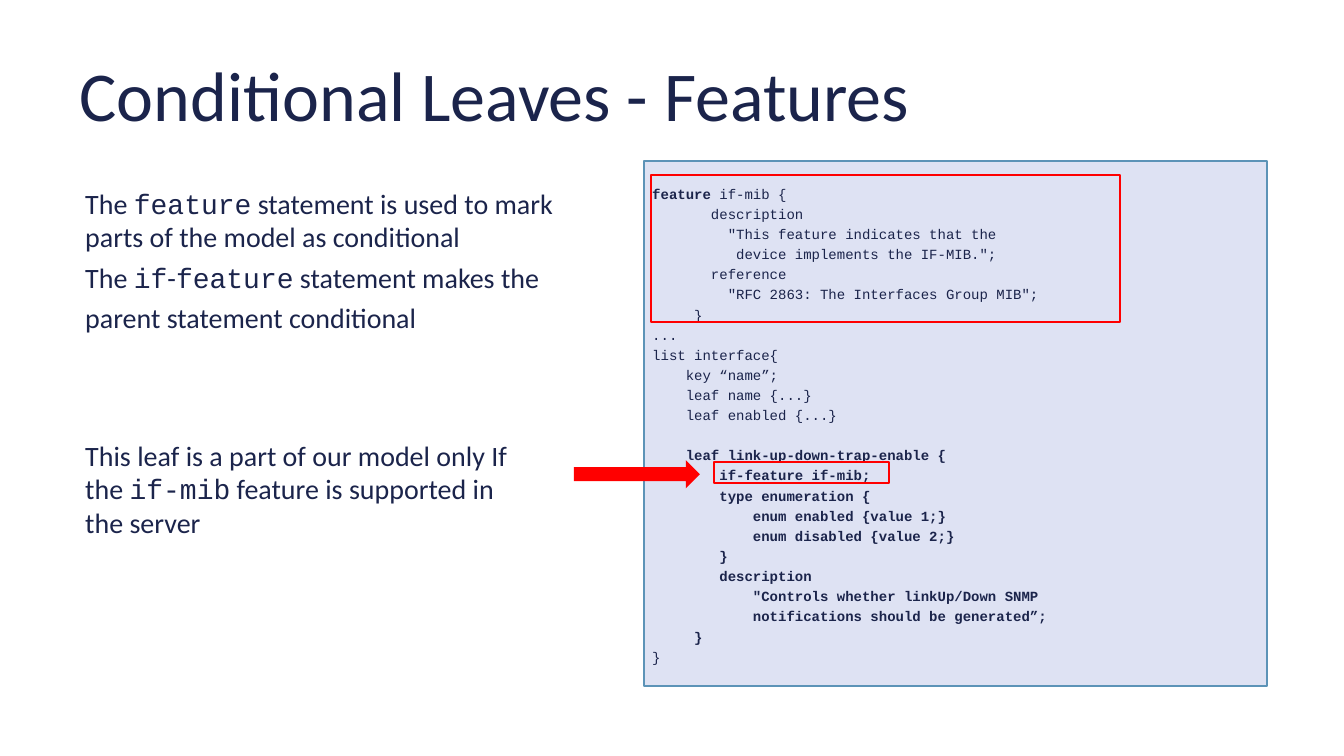
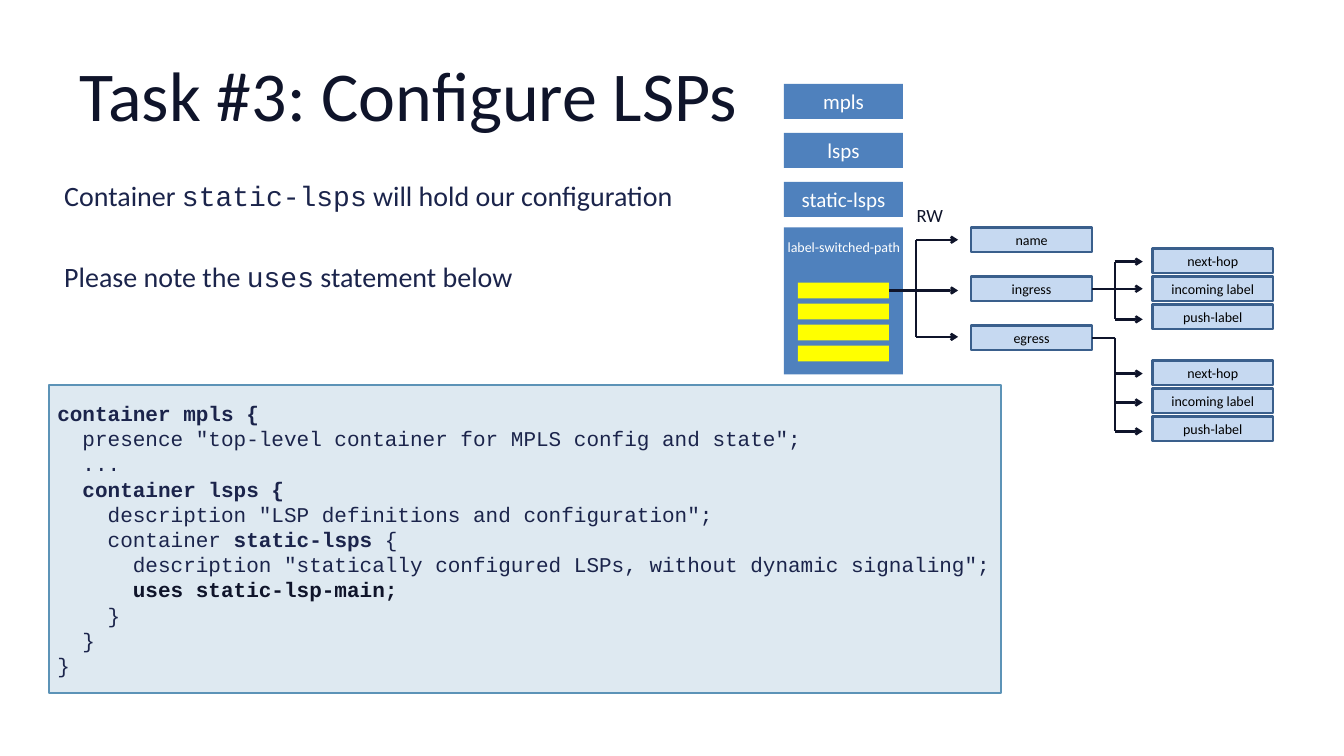
"""Build two slides on conditional YANG leaves and static LSP configuration."""
from dataclasses import dataclass, replace
from typing import Optional

from pptx import Presentation
from pptx.dml.color import RGBColor
from pptx.enum.shapes import MSO_CONNECTOR, MSO_SHAPE
from pptx.enum.text import MSO_ANCHOR, MSO_AUTO_SIZE, PP_ALIGN
from pptx.oxml.ns import qn
from pptx.shapes.autoshape import Shape
from pptx.shapes.connector import Connector
from pptx.slide import Slide
from pptx.text.text import TextFrame
from pptx.util import Emu, Pt
from lxml.etree import SubElement

EMU_PER_PX = 9525

NAVY = RGBColor(0x1B, 0x24, 0x4B)
INK = RGBColor(0x0F, 0x14, 0x2A)
BLACK = RGBColor(0x00, 0x00, 0x00)
WHITE = RGBColor(0xFF, 0xFF, 0xFF)
RED = RGBColor(0xFF, 0x00, 0x00)
YELLOW = RGBColor(0xFF, 0xFF, 0x00)
BLUE = RGBColor(0x4F, 0x81, 0xBD)
PALE_BLUE = RGBColor(0xC6, 0xD9, 0xF1)
NODE_EDGE = RGBColor(0x3A, 0x5F, 0x8C)
CODE_EDGE = RGBColor(0x5C, 0x93, 0xB7)
LAVENDER = RGBColor(0xDE, 0xE2, 0xF3)
MIST = RGBColor(0xDE, 0xE9, 0xF1)

SANS = "Calibri"
MONO = "Courier New"
CODE_MARK = "`"
BOLD_MARK = "*"
RIGHT_SIDE = 3


@dataclass(frozen=True)
class Box:
    """Position and size in px."""
    left: int
    top: int
    width: int
    height: int


@dataclass(frozen=True)
class Style:
    """Look of a block of text."""
    size: int
    color: RGBColor
    font: str = SANS
    align: PP_ALIGN = PP_ALIGN.LEFT
    spacing: Optional[float] = None


@dataclass(frozen=True)
class Look:
    """Fill and outline of a shape."""
    fill: Optional[RGBColor] = None
    line: Optional[RGBColor] = None
    width: float = 2.25


@dataclass(frozen=True)
class Branch:
    """A stem that leaves a node and fans out into arrows."""
    source: Shape
    stem_y: int
    trunk_x: int
    tip_x: int
    arrow_ys: tuple[int, ...]


BODY = Style(24, NAVY)
LOOSE_BODY = replace(BODY, spacing=1.2)
SMALL_CODE = Style(12, NAVY, MONO, spacing=1.2)
LARGE_CODE = Style(18, NAVY, MONO)
CONTAINER_TEXT = Style(18, WHITE, align=PP_ALIGN.CENTER)
LIST_TEXT = replace(CONTAINER_TEXT, size=12)
NODE_TEXT = replace(LIST_TEXT, color=BLACK)
CONTAINER = Look(BLUE)
NODE = Look(PALE_BLUE, NODE_EDGE, 2)
HIGHLIGHT = Look(line=RED)
TITLE_BOX = Box(77, 35, 1382, 144)

FEATURE_CODE = """*feature* if-mib {
       description
         "This feature indicates that the
          device implements the IF-MIB.";
       reference
         "RFC 2863: The Interfaces Group MIB";
     }
...
list interface{
    key “name”;
    leaf name {...}
    leaf enabled {...}
*    leaf link-up-down-trap-enable {*
*        if-feature if-mib;*
*        type enumeration {*
*            enum enabled {value 1;}*
*            enum disabled {value 2;}*
*        }*
*        description*
*            "Controls whether linkUp/Down SNMP*
*            notifications should be generated”;*
*     }*
}"""
TRAP_LEAF_LINE = 12

LSP_CODE = """*container mpls {*
  presence "top-level container for MPLS config and state";
  ...
  *container lsps {*
    description "LSP definitions and configuration";
    container *static-lsps *{
      description "statically configured LSPs, without dynamic signaling";
      *uses static-lsp-main;*
    }
  }
}"""
USES_LINE = 7


def px(length: int) -> Emu:
    """Turn px into EMU."""
    return Emu(length * EMU_PER_PX)


def place(box: Box) -> tuple[Emu, Emu, Emu, Emu]:
    """Give the box as the four lengths python-pptx expects."""
    return px(box.left), px(box.top), px(box.width), px(box.height)


def write(frame: TextFrame, text: str, style: Style) -> None:
    """Write one paragraph a line, switching to code or bold between marks."""
    for index, line in enumerate(text.split("\n")):
        paragraph = frame.add_paragraph() if index else frame.paragraphs[0]
        paragraph.alignment = style.align
        if style.spacing:
            paragraph.line_spacing = style.spacing
        mark = BOLD_MARK if style.font == MONO else CODE_MARK
        for part, piece in enumerate(line.split(mark)):
            if not piece:
                continue
            marked = part % 2 == 1
            run = paragraph.add_run()
            run.text = piece
            run.font.size = Pt(style.size)
            run.font.color.rgb = style.color
            run.font.name = MONO if marked else style.font
            run.font.bold = marked and mark == BOLD_MARK


def add_block(slide: Slide, box: Box, look: Look, text: str = "",
              style: Style = BODY, preset: MSO_SHAPE = MSO_SHAPE.RECTANGLE) -> Shape:
    """Draw a flat shape with optional text."""
    shape = slide.shapes.add_shape(preset, *place(box))
    shape.shadow.inherit = False
    if look.fill is None:
        shape.fill.background()
    else:
        shape.fill.solid()
        shape.fill.fore_color.rgb = look.fill
    if look.line is None:
        shape.line.fill.background()
    else:
        shape.line.color.rgb = look.line
        shape.line.width = Pt(look.width)
    if text:
        shape.text_frame.vertical_anchor = MSO_ANCHOR.MIDDLE
        write(shape.text_frame, text, style)
    return shape


def add_text(slide: Slide, box: Box, text: str, style: Style, wrap: bool = True) -> TextFrame:
    """Add a text box that grows with its text."""
    frame = slide.shapes.add_textbox(*place(box)).text_frame
    frame.word_wrap = wrap
    frame.auto_size = MSO_AUTO_SIZE.SHAPE_TO_FIT_TEXT
    write(frame, text, style)
    return frame


def add_title(slide: Slide, text: str, color: RGBColor) -> None:
    """Add the slide title."""
    frame = add_text(slide, TITLE_BOX, text, Style(60, color))
    frame.auto_size = MSO_AUTO_SIZE.NONE
    frame.vertical_anchor = MSO_ANCHOR.MIDDLE
    frame.margin_left = frame.margin_right = px(14)
    frame.margin_top = frame.margin_bottom = px(8)


def add_line(slide: Slide, start: tuple[int, int], end: tuple[int, int],
             arrow: bool = False) -> Connector:
    """Draw a straight line, with an arrowhead at its end if asked."""
    line = slide.shapes.add_connector(
        MSO_CONNECTOR.STRAIGHT, *(px(value) for value in start + end))
    line.line.color.rgb = INK
    line.line.width = Pt(2)
    if arrow:
        SubElement(line.line._get_or_add_ln(), qn("a:tailEnd"), type="arrow")
    SubElement(line._element.spPr, qn("a:effectLst"))
    return line


def add_branch(slide: Slide, branch: Branch) -> None:
    """Draw the stem, the trunk and the arrows of a branch."""
    trunk_x, stem_y = branch.trunk_x, branch.stem_y
    stem = add_line(slide, (trunk_x, stem_y), (trunk_x, stem_y))
    stem.begin_connect(branch.source, RIGHT_SIDE)
    ys = (stem_y, *branch.arrow_ys)
    add_line(slide, (trunk_x, min(ys)), (trunk_x, max(ys)))
    for y in branch.arrow_ys:
        add_line(slide, (trunk_x, y), (branch.tip_x, y), arrow=True)


def add_column(slide: Slide, first: Box, step: int, look: Look,
               labels: tuple[str, ...], style: Style) -> list[Shape]:
    """Stack equal blocks downwards at an even step."""
    return [add_block(slide, replace(first, top=first.top + index * step), look, label, style)
            for index, label in enumerate(labels)]


def build_features(slide: Slide) -> None:
    """Build the slide on conditional leaves."""
    code = add_block(slide, Box(736, 184, 712, 600), Look(LAVENDER, CODE_EDGE),
                     FEATURE_CODE, SMALL_CODE)
    code.text_frame.paragraphs[TRAP_LEAF_LINE].space_before = Pt(17)
    add_title(slide, "Conditional Leaves - Features", NAVY)
    statements = add_text(
        slide, Box(88, 208, 584, 238),
        "The `feature` statement is used to mark parts of the model as conditional\n"
        "The `if`-`feature` statement makes the parent statement conditional", BODY)
    statements.paragraphs[1].line_spacing = 1.2
    add_text(slide, Box(88, 496, 536, 126),
             "This leaf is a part of our model only If the `if-mib` feature is "
             "supported in the server", BODY)
    for highlighted in (Box(744, 200, 536, 168), Box(816, 528, 200, 24)):
        add_block(slide, highlighted, HIGHLIGHT)
    add_block(slide, Box(656, 526, 144, 32), Look(RED), preset=MSO_SHAPE.RIGHT_ARROW)


def build_lsps(slide: Slide) -> None:
    """Build the slide on configuring LSPs."""
    code = add_block(slide, Box(56, 440, 1088, 352), Look(MIST, CODE_EDGE),
                     LSP_CODE, LARGE_CODE)
    for run in code.text_frame.paragraphs[USES_LINE].runs:
        run.font.color.rgb = INK
    add_title(slide, "Task #3: Configure LSPs", INK)
    notes = add_text(slide, Box(64, 192, 760, 193),
                     "Container `static-lsps` will hold our configuration\n"
                     "Please note the `uses` statement below", LOOSE_BODY)
    notes.paragraphs[1].space_before = Pt(35)

    add_column(slide, Box(896, 96, 136, 40), 56, CONTAINER,
               ("mpls", "lsps", "static-lsps"), CONTAINER_TEXT)
    add_block(slide, Box(896, 260, 136, 168), CONTAINER)
    add_text(slide, Box(888, 268, 153, 29), "label-switched-path", LIST_TEXT, wrap=False)
    add_text(slide, Box(1038, 228, 50, 36), "RW", Style(16, INK), wrap=False)
    entries = add_column(slide, Box(912, 323, 104, 18), 24, Look(YELLOW), ("",) * 4, BODY)
    _, ingress, egress = add_column(slide, Box(1110, 260, 138, 28), 56, NODE,
                                    ("name", "ingress", "egress"), NODE_TEXT)
    for top in (284, 412):
        add_column(slide, Box(1317, top, 138, 28), 32, NODE,
                   ("next-hop", "incoming label", "push-label"), NODE_TEXT)
    for branch in (
        Branch(entries[0], 332, 1047, 1095, (274, 332, 385)),
        Branch(ingress, 330, 1274, 1306, (299, 330, 365)),
        Branch(egress, 386, 1274, 1306, (427, 460, 493)),
    ):
        add_branch(slide, branch)


def main() -> None:
    """Build and save the presentation."""
    deck = Presentation()
    deck.slide_width, deck.slide_height = px(1536), px(864)
    blank = deck.slide_layouts[6]
    for build in (build_features, build_lsps):
        build(deck.slides.add_slide(blank))
    deck.save("out.pptx")


if __name__ == "__main__":
    main()
